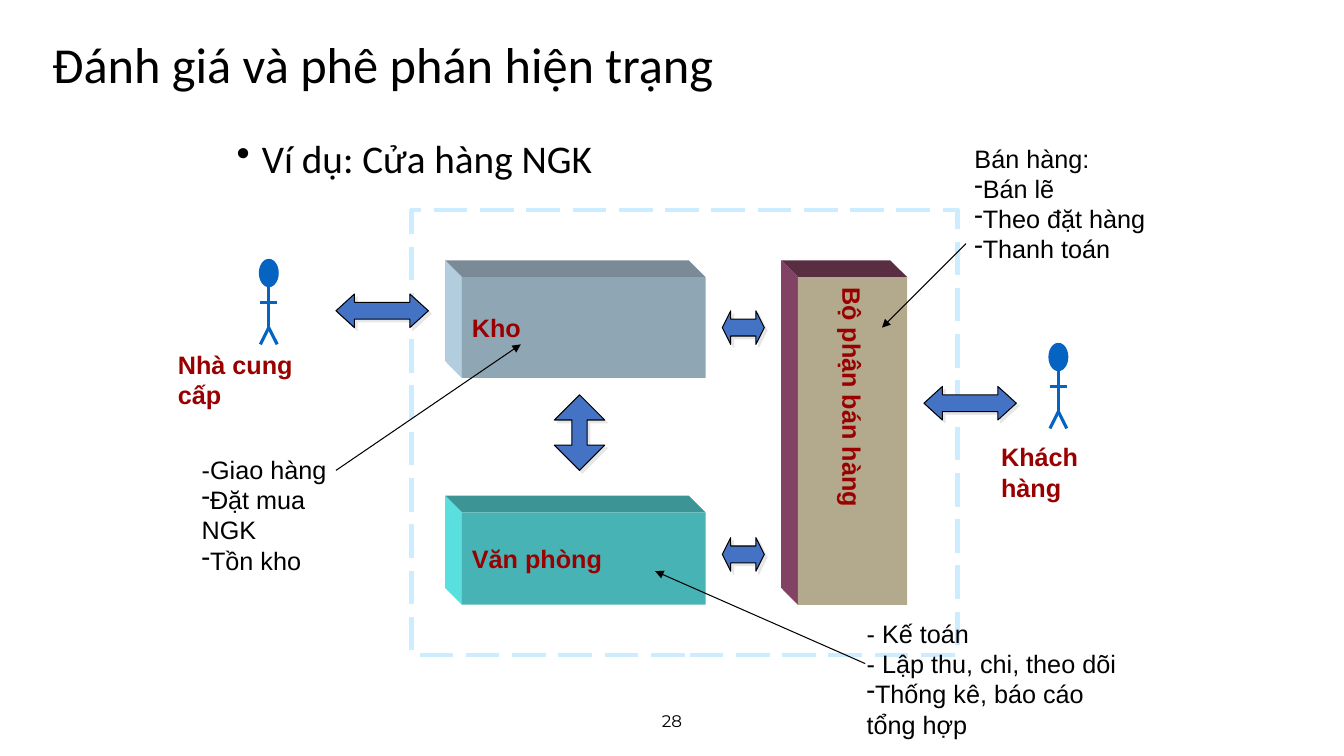
from dataclasses import dataclass

from lxml import etree
from pptx import Presentation
from pptx.dml.color import RGBColor
from pptx.enum.dml import MSO_LINE
from pptx.enum.shapes import MSO_CONNECTOR, MSO_SHAPE
from pptx.enum.text import MSO_ANCHOR, PP_ALIGN
from pptx.oxml.ns import qn
from pptx.util import Pt

RECTANGLE, OVAL = MSO_SHAPE.RECTANGLE, MSO_SHAPE.OVAL
LEFT_RIGHT, UP_DOWN = MSO_SHAPE.LEFT_RIGHT_ARROW, MSO_SHAPE.UP_DOWN_ARROW
STRAIGHT, LONG_DASH = MSO_CONNECTOR.STRAIGHT, MSO_LINE.LONG_DASH
LEFT, CENTER = PP_ALIGN.LEFT, PP_ALIGN.CENTER
TOP, MIDDLE = MSO_ANCHOR.TOP, MSO_ANCHOR.MIDDLE

BLACK, DARK_RED, PERSON_BLUE = "000000", "990000", "0563C1"
ARROW_BLUE, ARROW_SHADOW, FRAME_BLUE = "4472C4", "E7E6E6", "CCECFF"
DEPTH = 12


@dataclass
class Block:
    text: str
    box: tuple
    front: str
    top: str
    side: str
    vertical: bool = False


@dataclass
class Person:
    text: str
    left: float
    top: float
    label_box: tuple


@dataclass
class DoubleArrow:
    kind: MSO_SHAPE
    box: tuple
    head: float


@dataclass
class Note:
    """Lines that start with a bullet sign become dash list items."""
    lines: tuple
    box: tuple
    start: tuple
    end: tuple
    wrap: bool = False


BLOCKS = (
    Block("Kho", (330, 198, 174, 72), "8FA7B4", "7A8B97", "B1CDDE"),
    Block("Bộ phận bán hàng", (570, 198, 78, 234), "B3A98D", "5A2E42", "824263", True),
    Block("Văn phòng", (330, 366, 174, 66), "48B3B5", "3C9494", "5ADFDF"),
)
PEOPLE = (
    Person("Khách hàng", 750, 246, (708, 312, 117, 29)),
    Person("Nhà cung cấp", 186, 186, (120, 246, 132, 29)),
)
ARROWS = (
    DoubleArrow(LEFT_RIGHT, (516, 222, 30, 24), 0.25),
    DoubleArrow(LEFT_RIGHT, (516, 384, 30, 24), 0.25),
    DoubleArrow(UP_DOWN, (396, 282, 36, 54), 0.3),
    DoubleArrow(LEFT_RIGHT, (240, 210, 66, 24), 0.55),
    DoubleArrow(LEFT_RIGHT, (660, 276, 66, 24), 0.55),
)
NOTES = (
    Note(("Bán hàng:", "•Bán lẽ", "•Theo đặt hàng", "•Thanh toán"),
         (689, 98.5, 137, 94), (690, 174), (630, 234)),
    Note(("-Giao hàng", "•Đặt mua NGK", "•Tồn kho"),
         (137, 321, 132, 72), (240, 336), (372, 246)),
    Note(("- Kế toán", "- Lập thu, chi, theo dõi", "•Thống kê, báo cáo", "tổng hợp"),
         (612, 438, 198, 94), (618, 474), (468, 408), True),
)


def color(value: str) -> RGBColor:
    return RGBColor.from_string(value)


def points(values: tuple) -> list:
    return [Pt(value) for value in values]


def add_bullet(paragraph, sign: str, indent: float) -> None:
    properties = paragraph._p.get_or_add_pPr()
    properties.set("marL", str(Pt(indent)))
    properties.set("indent", str(-Pt(indent)))
    etree.SubElement(properties, qn("a:buChar"), char=sign)


def write_text(shape, *lines: str, size: float = 18, font: str = "Arial",
               ink: str = BLACK, bold: bool = False, align: PP_ALIGN = LEFT,
               anchor: MSO_ANCHOR = TOP, wrap: bool = False, spacing: float = 1.0,
               bullet: str = "-", indent: float = 0) -> None:
    """Fill a shape with lines; a leading bullet sign marks a list item."""
    frame = shape.text_frame
    frame.word_wrap = wrap
    frame.vertical_anchor = anchor
    for index, line in enumerate(lines):
        paragraph = frame.add_paragraph() if index else frame.paragraphs[0]
        if line.startswith("•"):
            add_bullet(paragraph, bullet, indent)
        paragraph.alignment = align
        paragraph.line_spacing = spacing
        paragraph.space_before = Pt(0)
        run = paragraph.add_run()
        run.text = line.removeprefix("•")
        run.font.size, run.font.name, run.font.bold = Pt(size), font, bold
        run.font.color.rgb = color(ink)


def style_shape(shape, fill: str = "", line: str = "", width: float = 0.75) -> None:
    shape.shadow.inherit = False
    if fill:
        shape.fill.solid()
        shape.fill.fore_color.rgb = color(fill)
    else:
        shape.fill.background()
    if line:
        shape.line.color.rgb = color(line)
        shape.line.width = Pt(width)
    else:
        shape.line.fill.background()


def add_line(shapes, start: tuple, end: tuple, ink: str = BLACK,
             width: float = 0.75, arrow: bool = False) -> None:
    connector = shapes.add_connector(STRAIGHT, *points(start + end))
    connector.line.color.rgb = color(ink)
    connector.line.width = Pt(width)
    if arrow:
        etree.SubElement(connector.line._get_or_add_ln(), qn("a:tailEnd"), type="triangle")
    etree.SubElement(connector._element.spPr, qn("a:effectLst"))


def add_face(shapes, corners: tuple, fill: str) -> None:
    builder = shapes.build_freeform(*points(corners[0]))
    builder.add_line_segments([points(corner) for corner in corners[1:]])
    style_shape(builder.convert_to_shape(), fill)


def add_block(shapes, block: Block) -> None:
    """Draw a front face with its top and left side receding up and left."""
    left, top, width, height = block.box
    right, bottom = left + width, top + height
    back_left, back_top = left - DEPTH, top - DEPTH
    add_face(shapes, ((back_left, back_top), (right - DEPTH, back_top),
                      (right, top), (left, top)), block.top)
    add_face(shapes, ((back_left, back_top), (left, top),
                      (left, bottom), (back_left, bottom - DEPTH)), block.side)
    front = shapes.add_shape(RECTANGLE, *points(block.box))
    style_shape(front, block.front)
    write_text(front, block.text, ink=DARK_RED, bold=True, anchor=MIDDLE)
    if block.vertical:
        front.text_frame._txBody.bodyPr.set("vert", "eaVert")


def add_person(shapes, person: Person) -> None:
    figure = shapes.add_group_shape().shapes
    left, top = person.left, person.top
    middle, right, hip, foot = left + 6, left + 12, top + 48, top + 60
    head = figure.add_shape(OVAL, *points((left, top, 12, 18)))
    style_shape(head, PERSON_BLUE, PERSON_BLUE, 2.25)
    for start, end in (((middle, top + 18), (middle, hip)),
                       ((middle, hip), (left, foot)),
                       ((middle, hip), (right, foot)),
                       ((left, top + 30), (right, top + 30))):
        add_line(figure, start, end, PERSON_BLUE, 2.25)
    label = shapes.add_textbox(*points(person.label_box))
    write_text(label, person.text, ink=DARK_RED, bold=True)


def add_double_arrow(shapes, arrow: DoubleArrow) -> None:
    shape = shapes.add_shape(arrow.kind, *points(arrow.box))
    shape.adjustments[0], shape.adjustments[1] = 0.5, arrow.head
    style_shape(shape, ARROW_BLUE, BLACK)
    effects = shape._element.spPr.find(qn("a:effectLst"))
    shadow = etree.SubElement(effects, qn("a:outerShdw"), dist=str(Pt(2.8)),
                              dir="2700000", algn="ctr", rotWithShape="0")
    etree.SubElement(shadow, qn("a:srgbClr"), val=ARROW_SHADOW)


def main() -> None:
    presentation = Presentation()
    presentation.slide_width, presentation.slide_height = Pt(960), Pt(540)
    slide = presentation.slides.add_slide(presentation.slide_layouts[5])
    shapes = slide.shapes

    title = shapes.title
    title.left, title.top, title.width, title.height = points((30, 24, 648, 48))
    write_text(title, "Đánh giá và phê phán hiện trạng", size=36, font="Calibri",
               anchor=MIDDLE, wrap=True, spacing=0.9)
    example = shapes.add_textbox(*points((162, 96, 648, 66)))
    write_text(example, "•Ví dụ: Cửa hàng NGK", size=28, font="Calibri",
               wrap=True, spacing=0.9, bullet="•", indent=18)
    page_number = shapes.add_textbox(*points((318, 500, 324, 29)))
    write_text(page_number, "28", size=12, font="Montserrat", align=CENTER,
               anchor=MIDDLE, wrap=True)

    store_frame = shapes.add_shape(RECTANGLE, *points((294, 150, 390, 318)))
    style_shape(store_frame, line=FRAME_BLUE, width=3)
    store_frame.line.dash_style = LONG_DASH
    for block in BLOCKS:
        add_block(shapes, block)
    for person in PEOPLE:
        add_person(shapes, person)
    for arrow in ARROWS:
        add_double_arrow(shapes, arrow)
    for note in NOTES:
        write_text(shapes.add_textbox(*points(note.box)), *note.lines, wrap=note.wrap)
        add_line(shapes, note.start, note.end, arrow=True)
    presentation.save("out.pptx")


if __name__ == "__main__":
    main()
